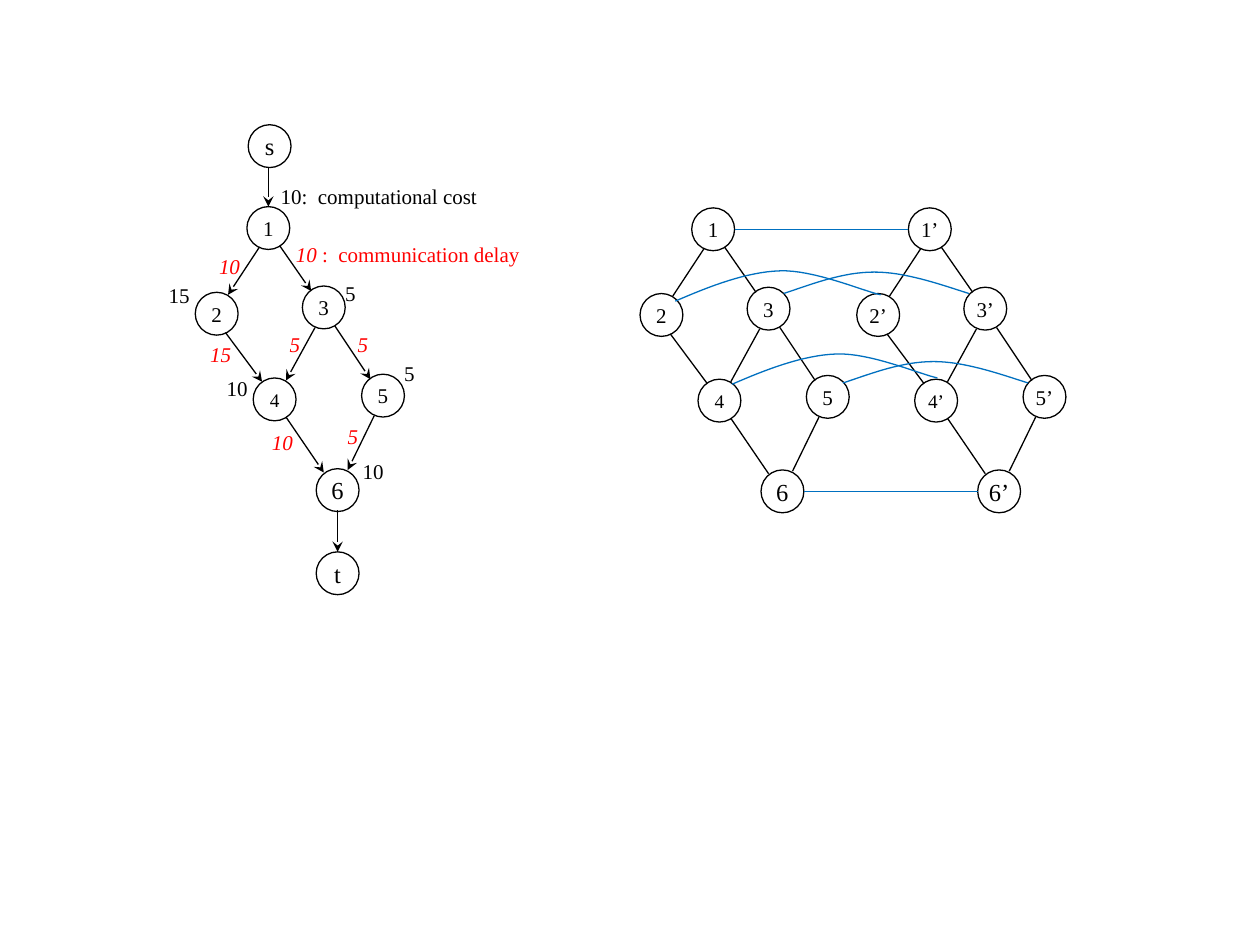
from lxml import etree
from pptx import Presentation
from pptx.dml.color import RGBColor
from pptx.enum.shapes import MSO_CONNECTOR, MSO_SHAPE
from pptx.enum.text import MSO_ANCHOR, MSO_AUTO_SIZE, PP_ALIGN
from pptx.oxml.ns import qn
from pptx.util import Inches, Pt

OVAL = MSO_SHAPE.OVAL
STRAIGHT = MSO_CONNECTOR.STRAIGHT
MIDDLE = MSO_ANCHOR.MIDDLE
CENTER = PP_ALIGN.CENTER
FIT = MSO_AUTO_SIZE.SHAPE_TO_FIT_TEXT
BLACK, RED, BLUE = "000000", "FF0000", "0070C0"
THIN = Pt(0.75)
SIDE = 0.34
color = RGBColor.from_string


def add_run(frame, text, size, hue, slant=False):
    run = frame.paragraphs[0].add_run()
    run.text = text
    font = run.font
    font.name, font.size, font.italic = "Times New Roman", Pt(size), slant
    font.color.rgb = color(hue)


def add_link(shapes, ends, hue, arrow=False):
    link = shapes.add_connector(STRAIGHT, *[Inches(v) for v in ends])
    link.line.width = THIN
    link.line.color.rgb = color(hue)
    props = link._element.spPr
    if arrow:
        etree.SubElement(props.find(qn("a:ln")), qn("a:tailEnd"), type="stealth")
    etree.SubElement(props, qn("a:effectLst"))


prs = Presentation()
prs.slide_width, prs.slide_height = Inches(10), Inches(7.5)
slide = prs.slides.add_slide(prs.slide_layouts[6])

# Node: name, left, top, text size
nodes = [
    ("1", 1.96, 1.64, 12), ("3", 2.4, 2.27, 12), ("2", 1.55, 2.32, 12),
    ("4", 2.01, 3, 11), ("5", 2.87, 2.97, 12), ("6", 2.51, 3.72, 14),
]
outer = [("s", 1.97, 0.99, 14), ("t", 2.51, 4.38, 14)]
edges = [
    (2.22, 1.95, 2.47, 2.31), (2.66, 2.59, 2.94, 3.01),
    (1.79, 2.64, 2.08, 3.03), (2.27, 3.31, 2.57, 3.75),
    (2.06, 1.96, 1.81, 2.34), (2.5, 2.6, 2.27, 3.02),
    (2.97, 3.3, 2.76, 3.73),
]
stems = [(2.13, 1.33, 2.13, 1.64), (2.68, 4.05, 2.68, 4.38)]

# The task graph, then its two undirected copies side by side
graphs = [
    (slide.shapes, 0, 0, "", nodes + outer, edges + stems),
    (slide.shapes.add_group_shape().shapes, 3.53, 0.01, "", nodes, edges),
    (slide.shapes.add_group_shape().shapes, 5.25, 0.01, "’", nodes, edges),
]
for shapes, dx, dy, mark, spots, links in graphs:
    for name, x, y, size in spots:
        node = shapes.add_shape(OVAL, Inches(x + dx), Inches(y + dy),
                                Inches(SIDE), Inches(SIDE))
        node.shadow.inherit = False
        node.fill.background()
        node.line.width = THIN
        node.line.color.rgb = color(BLACK)
        frame = node.text_frame
        frame.word_wrap = False
        frame.vertical_anchor = MIDDLE
        frame.paragraphs[0].alignment = CENTER
        add_run(frame, name + mark, size, BLACK)
    for x1, y1, x2, y2 in links:
        add_link(shapes, (x1 + dx, y1 + dy, x2 + dx, y2 + dy), BLACK, dx == 0)

# Blue ties between matching nodes
for ends in [(5.83, 1.82, 7.21, 1.82), (6.38, 3.9, 7.76, 3.9)]:
    add_link(slide.shapes, ends, BLUE)

steep = [(5.36, 2.39), (5.64, 2.27), (5.92, 2.16), (6.19, 2.15),
         (6.46, 2.14), (6.85, 2.31), (6.99, 2.34)]
gentle = [(6.22, 2.33), (6.46, 2.25), (6.69, 2.16), (6.94, 2.16),
          (7.18, 2.16), (7.44, 2.25), (7.69, 2.33)]
STEPS = 16
for bend, dx, dy in [(steep, 0, 0), (gentle, 0, 0),
                     (steep, 0.45, 0.66), (gentle, 0.47, 0.71)]:
    points = []
    for first in (0, 3):
        a, b, c, d = bend[first:first + 4]
        for step in range(STEPS + 1):
            t = step / STEPS
            u = 1 - t
            x, y = [u**3 * p + 3 * u * u * t * q + 3 * u * t * t * r + t**3 * s
                    for p, q, r, s in zip(a, b, c, d)]
            points.append((Inches(x + dx), Inches(y + dy)))
    pen = slide.shapes.build_freeform(*points[0])
    pen.add_line_segments(points[1:], close=False)
    curve = pen.convert_to_shape()
    curve.shadow.inherit = False
    curve.fill.background()
    curve.line.width = THIN
    curve.line.color.rgb = color(BLUE)

# Costs in black, delays in red: left, top, width, runs of (text, slant)
costs = [
    (1.24, 2.19, 0.37, [("15", False)]),
    (1.7, 2.93, 0.37, [("10", False)]),
    (2.78, 3.59, 0.37, [("10", False)]),
    (2.64, 2.18, 0.29, [("5", False)]),
    (3.11, 2.81, 0.29, [("5", False)]),
    (2.13, 1.41, 1.77, [("10:  computational cost", False)]),
]
delays = [
    (1.64, 1.96, 0.37, [("10", True)]),
    (2.25, 1.87, 2, [("10 ", True), (":  communication delay", False)]),
    (1.57, 2.66, 0.37, [("15", True)]),
    (2.06, 3.36, 0.37, [("10", True)]),
    (2.2, 2.58, 0.29, [("5", True)]),
    (2.74, 2.58, 0.29, [("5", True)]),
    (2.66, 3.31, 0.29, [("5", True)]),
]
for labels, hue in [(costs, BLACK), (delays, RED)]:
    for x, y, width, runs in labels:
        box = slide.shapes.add_textbox(Inches(x), Inches(y),
                                       Inches(width), Inches(0.3))
        frame = box.text_frame
        frame.word_wrap = False
        frame.auto_size = FIT
        for text, slant in runs:
            add_run(frame, text, 12, hue, slant)

prs.save("out.pptx")
